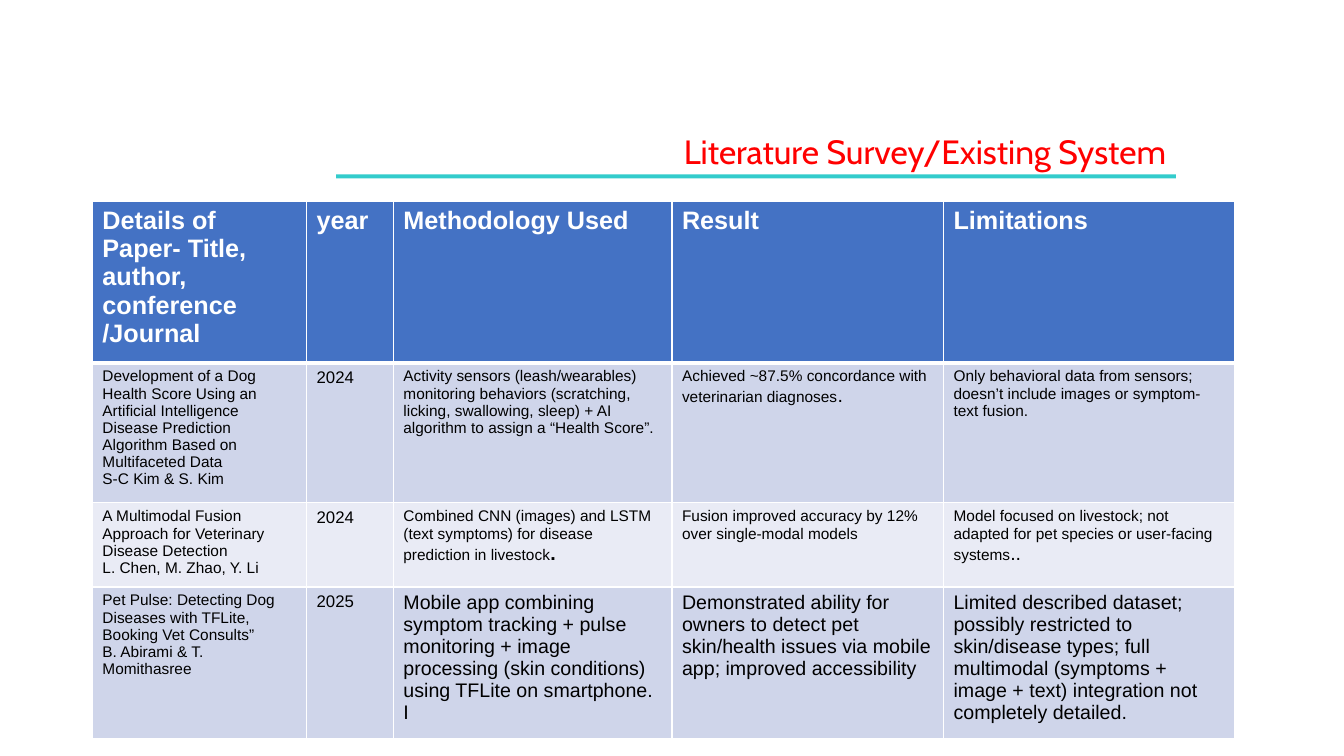
"""Build the literature survey slide with its table of related papers."""
from copy import deepcopy
from dataclasses import dataclass

from lxml import etree
from pptx import Presentation
from pptx import util as u
from pptx.dml import color
from pptx.enum import shapes, text
from pptx.oxml import ns

WHITE, BLACK, RED = "FFFFFF", "000000", "FF0000"
TEAL, HEADER_BLUE = "33CCCC", "4472C4"
BANDS = ("CFD5EA", "E9EBF5")
COLUMN_WIDTHS = (153, 62, 199, 194, 208)
ROW_HEIGHTS = (114, 100, 60, 108)
BORDER_TAGS = ("a:lnL", "a:lnR", "a:lnT", "a:lnB")
HEADINGS = (
    "Details of Paper- Title, author, conference /Journal",
    "year",
    "Methodology Used",
    "Result",
    "Limitations",
)


@dataclass
class Finding:
    body: str
    size: float = 11
    ending: str = ""
    ending_bold: bool = False


@dataclass
class Paper:
    title: str
    authors: str
    year: str
    methodology: Finding
    result: Finding
    limitations: Finding

    def findings(self) -> list[Finding]:
        details = Finding(f"{self.title}\v{self.authors}")
        return [details, Finding(self.year, 12), self.methodology, self.result, self.limitations]


PAPERS = (
    Paper(
        "Development of a Dog Health Score Using an Artificial Intelligence "
        "Disease Prediction Algorithm Based on Multifaceted Data",
        "S-C Kim & S. Kim",
        "2024",
        Finding("Activity sensors (leash/wearables) monitoring behaviors (scratching, licking, "
                "swallowing, sleep) + AI algorithm to assign a “Health Score”."),
        Finding("Achieved ~87.5% concordance with veterinarian diagnoses", ending="."),
        Finding("Only behavioral data from sensors; doesn’t include images or symptom-text fusion."),
    ),
    Paper(
        "A Multimodal Fusion Approach for Veterinary Disease Detection",
        "L. Chen, M. Zhao, Y. Li",
        "2024",
        Finding("Combined CNN (images) and LSTM (text symptoms) for disease prediction in livestock",
                ending=".", ending_bold=True),
        Finding("Fusion improved accuracy by 12% over single-modal models"),
        Finding("Model focused on livestock; not adapted for pet species or user-facing systems",
                ending=".."),
    ),
    Paper(
        "Pet Pulse: Detecting Dog Diseases with TFLite, Booking Vet Consults”",
        "B. Abirami & T. Momithasree",
        "2025",
        Finding("Mobile app combining symptom tracking + pulse monitoring + image processing "
                "(skin conditions) using TFLite on smartphone. I", 14),
        Finding("Demonstrated ability for owners to detect pet skin/health issues via mobile app; "
                "improved accessibility", 14),
        Finding("Limited described dataset; possibly restricted to skin/disease types; full "
                "multimodal (symptoms + image + text) integration not completely detailed.", 14),
    ),
)


def rgb(hex_code: str) -> color.RGBColor:
    return color.RGBColor.from_string(hex_code)


def format_run(run, size: float, ink: str, bold: bool = False, face: str = "Arial") -> None:
    run.font.name = face
    run.font.size = u.Pt(size)
    run.font.bold = bold
    run.font.color.rgb = rgb(ink)


def draw_title(slide) -> None:
    underline = slide.shapes.add_shape(
        shapes.MSO_SHAPE.RECTANGLE, u.Pt(240), u.Pt(124.5), u.Pt(600), u.Pt(3))
    underline.shadow.inherit = False
    underline.fill.solid()
    underline.fill.fore_color.rgb = rgb(TEAL)
    underline.line.fill.background()

    title = slide.shapes.add_textbox(u.Pt(330), u.Pt(90), u.Pt(510), u.Pt(36))
    title.text_frame.word_wrap = True
    title.text_frame.auto_size = text.MSO_AUTO_SIZE.SHAPE_TO_FIT_TEXT
    title.text_frame.text = "Literature Survey/Existing System"
    heading = title.text_frame.paragraphs[0]
    heading.alignment = text.PP_ALIGN.RIGHT
    indents = heading._p.get_or_add_pPr()
    indents.set("marL", str(u.Pt(27)))
    indents.set("indent", str(u.Pt(-27)))
    format_run(heading.runs[0], 24, RED, face="Cabin")


def draw_borders(cell, top: float, bottom: float) -> None:
    properties = cell._tc.get_or_add_tcPr()
    for tag, weight in zip(BORDER_TAGS, (1, 1, top, bottom)):
        border = etree.SubElement(properties, ns.qn(tag), w=str(u.Pt(weight)))
        fill = etree.SubElement(border, ns.qn("a:solidFill"))
        etree.SubElement(fill, ns.qn("a:srgbClr"), val=WHITE)


def write_finding(cell, finding: Finding, ink: str, bold: bool) -> None:
    cell.text_frame.text = finding.body
    paragraph = cell.text_frame.paragraphs[0]
    for run in paragraph.runs:
        format_run(run, finding.size, ink, bold)
    for line_break in paragraph._p.findall(ns.qn("a:br")):
        line_break.append(deepcopy(paragraph.runs[0]._r.rPr))
    if finding.ending:
        ending = paragraph.add_run()
        ending.text = finding.ending
        format_run(ending, 14, ink, finding.ending_bold)


def draw_survey(slide) -> None:
    rows = [[Finding(heading, 18) for heading in HEADINGS]]
    rows += [paper.findings() for paper in PAPERS]
    survey = slide.shapes.add_table(
        len(rows), len(HEADINGS), u.Pt(66), u.Pt(144),
        u.Pt(sum(COLUMN_WIDTHS)), u.Pt(sum(ROW_HEIGHTS))).table
    for column, width in zip(survey.columns, COLUMN_WIDTHS):
        column.width = u.Pt(width)
    for index, (height, findings) in enumerate(zip(ROW_HEIGHTS, rows)):
        survey.rows[index].height = u.Pt(height)
        is_header = index == 0
        for cell, finding in zip(survey.rows[index].cells, findings):
            draw_borders(cell, 3 if index == 1 else 1, 3 if is_header else 1)
            cell.fill.solid()
            cell.fill.fore_color.rgb = rgb(HEADER_BLUE if is_header else BANDS[(index - 1) % 2])
            write_finding(cell, finding, WHITE if is_header else BLACK, is_header)


def main() -> None:
    deck = Presentation()
    deck.slide_width, deck.slide_height = u.Pt(960), u.Pt(540)
    slide = deck.slides.add_slide(deck.slide_layouts[6])
    draw_title(slide)
    draw_survey(slide)
    deck.save("out.pptx")


if __name__ == "__main__":
    main()
